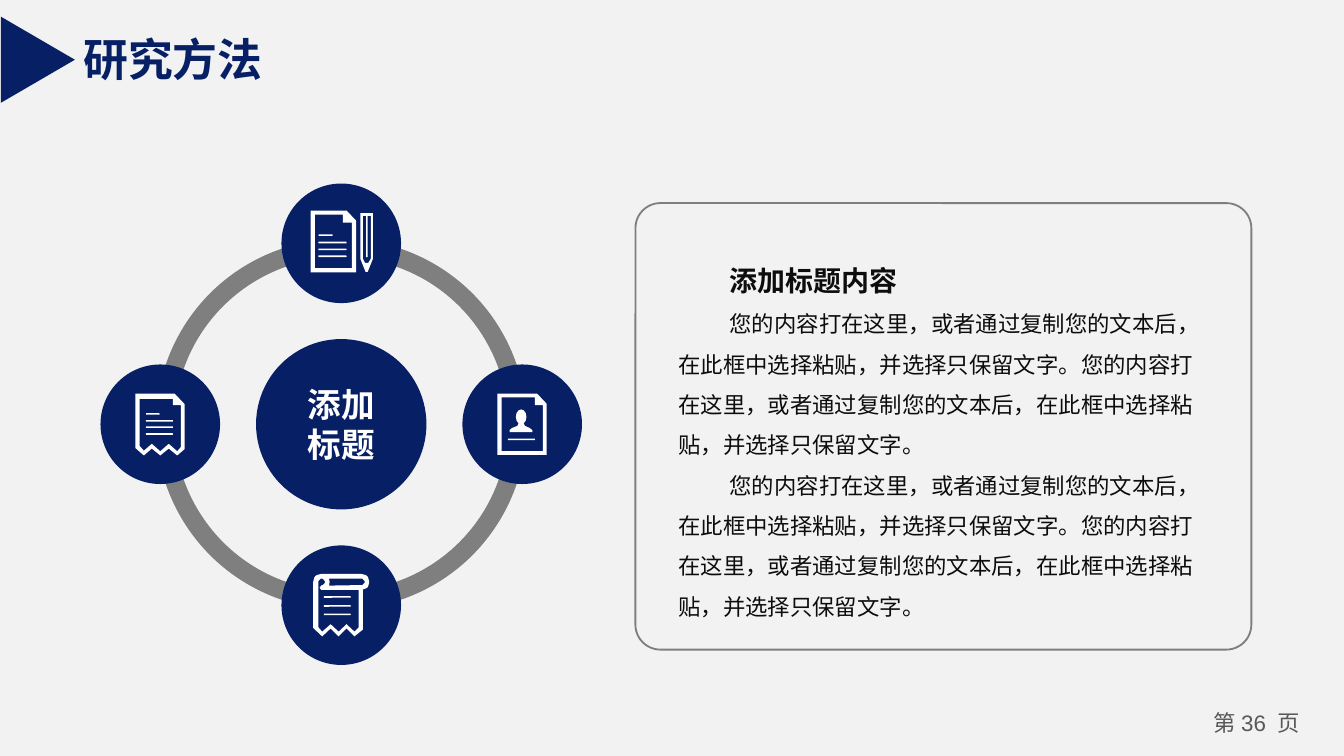
from math import cos, radians, sin

from lxml.etree import SubElement
from pptx import Presentation
from pptx.dml.color import RGBColor
from pptx.enum.shapes import MSO_SHAPE as Shape
from pptx.enum.text import MSO_ANCHOR as Anchor, MSO_AUTO_SIZE as AutoSize, PP_ALIGN as Align
from pptx.oxml.ns import qn
from pptx.util import Cm, Pt

NAVY, GRAY, WHITE = "071F65", "7F7F7F", "FFFFFF"
FONT = "Noto Sans CJK SC"
CENTER_X, CENTER_Y, ORBIT = 6.45, 8.02, 3.42
RING_SIZE, HUB_SIZE, NODE_SIZE = 6.98, 3.22, 2.26
UNIT = 0.01
BODY = (
    "您的内容打在这里，或者通过复制您的文本后，在此框中选择粘贴，并选择只保留文字。"
    "您的内容打在这里，或者通过复制您的文本后，在此框中选择粘贴，并选择只保留文字。"
)


def color(value):
    return RGBColor.from_string(value)


def style_shape(shape, fill=None, line=None, line_width=0.75):
    shape.shadow.inherit = False
    if fill:
        shape.fill.solid()
        shape.fill.fore_color.rgb = color(fill)
    else:
        shape.fill.background()
    if line:
        shape.line.color.rgb = color(line)
        shape.line.width = Pt(line_width)
    else:
        shape.line.fill.background()


def add_shape(slide, kind, left, top, width, height, **style):
    shape = slide.shapes.add_shape(kind, Cm(left), Cm(top), Cm(width), Cm(height))
    style_shape(shape, **style)
    return shape


def add_circle(slide, x, y, size):
    return add_shape(slide, Shape.OVAL, x - size / 2, y - size / 2, size, size, fill=NAVY)


def format_paragraph(paragraph, size, value, bold=False, align=Align.LEFT):
    paragraph.alignment = align
    font = paragraph.font
    font.name = FONT
    font.size = Pt(size)
    font.bold = bold
    font.color.rgb = color(value)
    properties = paragraph._p.pPr.find(qn("a:defRPr"))
    SubElement(properties, qn("a:ea")).set("typeface", FONT)


def add_title(slide):
    title = slide.shapes.title
    title.left, title.top, title.width, title.height = Cm(1.32), Cm(0.48), Cm(3.94), Cm(1.27)
    frame = title.text_frame
    frame.text = "研究方法"
    frame.word_wrap = False
    frame.auto_size = AutoSize.NONE
    frame.vertical_anchor = Anchor.TOP
    format_paragraph(frame.paragraphs[0], 24, NAVY, True)
    marker = add_shape(slide, Shape.ISOSCELES_TRIANGLE, -0.1, 0.43, 1.63, 1.4, fill=NAVY)
    marker.rotation = 90


def add_page_number(slide):
    box = slide.shapes.add_textbox(Cm(22.6), Cm(13.3), Cm(2.3), Cm(0.76))
    frame = box.text_frame
    frame.word_wrap = True
    frame.margin_left = frame.margin_right = Cm(0.18)
    frame.margin_top = frame.margin_bottom = Cm(0.1)
    paragraph = frame.paragraphs[0]
    format_paragraph(paragraph, 12, "595959", align=Align.CENTER)
    for text, name in (("第 ", FONT), ("36 ", "Arial"), (" 页", FONT)):
        run = paragraph.add_run()
        run.text = text
        run.font.name = name


def add_ring(slide):
    left, top = CENTER_X - RING_SIZE / 2, CENTER_Y - RING_SIZE / 2
    for quarter in range(4):
        arc = add_shape(slide, Shape.BLOCK_ARC, left, top, RING_SIZE, RING_SIZE, fill=GRAY, line=GRAY)
        arc.adjustments[0] = 54 * quarter
        arc.adjustments[1] = 54 * (quarter + 1) % 216
        arc.adjustments[2] = 0.046


def add_hub(slide):
    hub = add_circle(slide, CENTER_X, CENTER_Y, HUB_SIZE)
    frame = hub.text_frame
    frame.vertical_anchor = Anchor.MIDDLE
    frame.text = "添加\n标题"
    for paragraph in frame.paragraphs:
        format_paragraph(paragraph, 18, WHITE, True, Align.CENTER)


def arc_points(x, y, radius, start, end):
    angles = range(start, end + 1, 15)
    return [(x + radius * cos(radians(a)), y + radius * sin(radians(a))) for a in angles]


def add_outline(slide, center, *contours):
    builder = slide.shapes.build_freeform(*contours[0][0], scale=Cm(UNIT))
    for index, points in enumerate(contours):
        if index:
            builder.move_to(*points[0])
        builder.add_line_segments(points[1:], close=True)
    style_shape(builder.convert_to_shape(Cm(center[0]), Cm(center[1])), fill=WHITE)


def add_text_lines(slide, center, left, right, heights, short_y=None):
    lines = [(right, y) for y in heights]
    if short_y is not None:
        lines.append(((left + right) / 2, short_y))
    for end, y in lines:
        add_shape(slide, Shape.ROUNDED_RECTANGLE, center[0] + left * UNIT,
                  center[1] + y * UNIT - 0.02, (end - left) * UNIT, 0.03, fill=WHITE)


def draw_document(slide, center):
    add_outline(slide, center,
                [(-58, -62), (10, -62), (28, -43), (28, 55), (-58, 55)],
                [(-50, -54), (3, -54), (3, -39), (20, -39), (20, 47), (-50, 47)])
    add_outline(slide, center,
                [(36, -57), (60, -57), (60, 29), (50, 54), (46, 54), (36, 29)],
                [(41, -52), (47, -52), (47, 26), (50, 26), (50, -52),
                 (56, -52), (56, 29), (51, 37), (45, 37), (41, 29)])
    add_text_lines(slide, center, -43, 10, (25, 12, -1), -15)


def draw_profile(slide, center):
    add_outline(slide, center,
                [(-47, -58), (28, -58), (46, -39), (46, 58), (-47, 58)],
                [(-39, -51), (24, -51), (24, -36), (39, -36), (39, 51), (-39, 51)])
    add_shape(slide, Shape.OVAL, center[0] - 0.12, center[1] - 0.28, 0.2, 0.28, fill=WHITE)
    add_outline(slide, center,
                [(-24, 15), (-24, 11), (-19, 7), (-9, 3), (-6, -4), (2, -4),
                 (5, 3), (14, 7), (19, 11), (19, 15)])
    add_text_lines(slide, center, -27, 24, (29,))


def draw_scroll(slide, center):
    add_outline(slide, center,
                arc_points(-38, -44, 15, 180, 270) + arc_points(38, -44, 15, 270, 450)
                + [(41, -29), (41, 46), (25, 59), (10, 44), (-5, 59), (-20, 44), (-36, 59), (-53, 43)],
                arc_points(-37, -44, 6, 180, 450)
                + [(-41, -33), (-38, -29), (33, -29), (33, 42), (25, 50), (10, 36),
                   (-5, 50), (-20, 36), (-36, 50), (-43, 42)],
                [(-23, -37), (-22, -44), (-23, -50)] + arc_points(38, -44, 6, 270, 450))
    add_text_lines(slide, center, -33, 18, (18, 2, -15))


def draw_receipt(slide, center):
    add_outline(slide, center,
                [(-47, -58), (27, -58), (46, -38), (46, 47), (32, 59), (16, 46),
                 (0, 59), (-16, 46), (-31, 59), (-47, 45)],
                [(-39, -48), (24, -48), (24, -36), (39, -36), (39, 43), (32, 51),
                 (16, 37), (0, 51), (-16, 37), (-31, 50), (-39, 41)])
    add_text_lines(slide, center, -27, 24, (19, 6, -6), -19)


def add_nodes(slide):
    icons = (draw_document, draw_profile, draw_scroll, draw_receipt)
    for index, draw_icon in enumerate(icons):
        angle = radians(90 * index - 90)
        center = CENTER_X + ORBIT * cos(angle), CENTER_Y + ORBIT * sin(angle)
        add_circle(slide, *center, NODE_SIZE)
        draw_icon(slide, center)


def add_description(slide):
    panel = add_shape(slide, Shape.ROUNDED_RECTANGLE, 12.01, 3.84, 11.64, 8.44, line=GRAY, line_width=1)
    panel.adjustments[0] = 0.056
    box = slide.shapes.add_textbox(Cm(12.57), Cm(4.22), Cm(10.54), Cm(7.62))
    frame = box.text_frame
    frame.word_wrap = True
    frame.text = "\n".join(("添加标题内容", BODY, BODY))
    for index, paragraph in enumerate(frame.paragraphs):
        heading = index == 0
        paragraph.line_spacing = 2.0 if heading else 1.5
        format_paragraph(paragraph, 15 if heading else 12, "0D0D0D", heading)
        paragraph._p.pPr.set("indent", str(Cm(0.97)))


def main():
    presentation = Presentation()
    presentation.slide_width, presentation.slide_height = Cm(25.4), Cm(14.29)
    slide = presentation.slides.add_slide(presentation.slide_layouts[5])
    slide.background.fill.solid()
    slide.background.fill.fore_color.rgb = color("F2F2F2")
    add_page_number(slide)
    add_hub(slide)
    add_ring(slide)
    add_nodes(slide)
    add_description(slide)
    add_title(slide)
    presentation.save("out.pptx")


if __name__ == "__main__":
    main()
